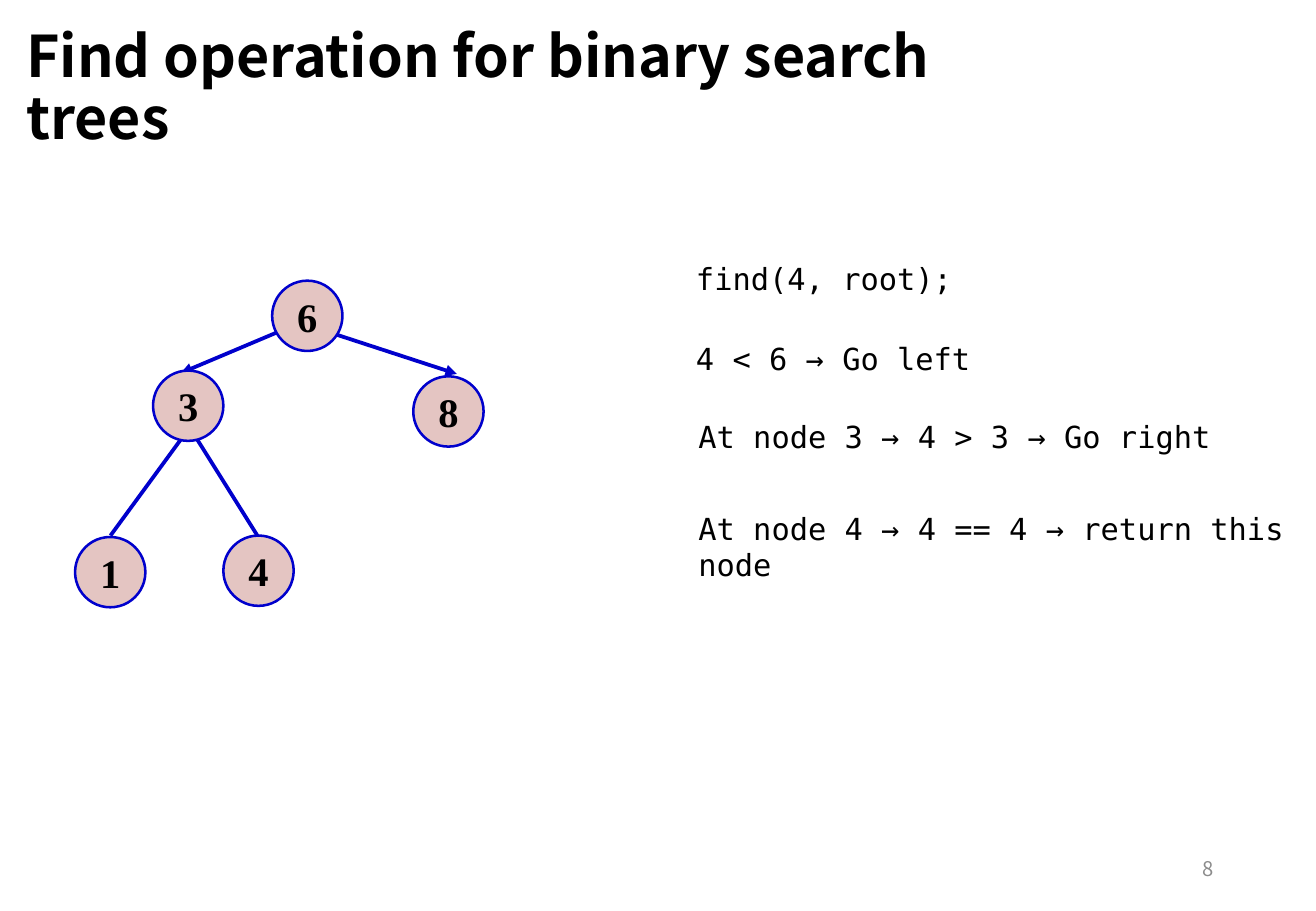
"""Builds a slide that traces a find operation in a binary search tree."""
from lxml import etree
from pptx import Presentation
from pptx.dml.color import RGBColor
from pptx.enum.shapes import MSO_CONNECTOR, MSO_SHAPE
from pptx.enum.text import MSO_ANCHOR, PP_ALIGN
from pptx.oxml.ns import qn
from pptx.util import Cm, Pt

OVAL = MSO_SHAPE.OVAL
STRAIGHT = MSO_CONNECTOR.STRAIGHT
TOP, MIDDLE = MSO_ANCHOR.TOP, MSO_ANCHOR.MIDDLE
LEFT, CENTER, RIGHT = PP_ALIGN.LEFT, PP_ALIGN.CENTER, PP_ALIGN.RIGHT

BLACK = RGBColor(0x00, 0x00, 0x00)
GRAY = RGBColor(0x8C, 0x8C, 0x8C)
BLUE = RGBColor(0x00, 0x00, 0xCC)
PINK = RGBColor(0xE4, 0xC5, 0xC2)

SANS = "Noto Sans CJK SC"
MONO = "DejaVu Sans Mono"
SERIF = "Times New Roman"

NODE_SIZE = 1.47
NODES = [("8", 8.64, 7.87), ("1", 1.57, 11.23), ("4", 4.67, 11.2),
         ("3", 3.2, 7.75), ("6", 5.69, 5.87)]
EDGES = [(5.77, 6.96, 3.78, 7.8, True), (7.01, 6.99, 9.55, 7.82, True),
         (5.38, 11.2, 4.11, 9.17, False), (2.31, 11.2, 3.78, 9.19, False)]
STEPS = [("find(4, root);", 14.3, 5.31, 5.87, 1.02, False),
         ("4 < 6 → Go left", 14.3, 6.99, 6.53, 1.02, False),
         ("At node 3 → 4 > 3 → Go right", 14.35, 8.61, 11.76, 1.02, False),
         ("At node 4 → 4 == 4 → return this node", 14.35, 10.54, 13.77, 1.8, True)]


def write_text(shape, text, font=SANS, size=18, color=BLACK, bold=False,
               align=LEFT, anchor=TOP, wrap=True, spacing=None):
    frame = shape.text_frame
    frame.word_wrap = wrap
    frame.vertical_anchor = anchor
    paragraph = frame.paragraphs[0]
    paragraph.alignment = align
    if spacing:
        paragraph.line_spacing = spacing
    run = paragraph.add_run()
    run.text = text
    run.font.name = font
    run.font.size = Pt(size)
    run.font.bold = bold
    run.font.color.rgb = color


class TreeSlide:
    def __init__(self, presentation):
        self.shapes = presentation.slides.add_slide(presentation.slide_layouts[6]).shapes

    def label(self, text, left, top, width, height, **style):
        box = self.shapes.add_textbox(Cm(left), Cm(top), Cm(width), Cm(height))
        write_text(box, text, **style)

    def node(self, text, left, top):
        shape = self.shapes.add_shape(OVAL, Cm(left), Cm(top), Cm(NODE_SIZE), Cm(NODE_SIZE))
        shape.shadow.inherit = False
        shape.fill.solid()
        shape.fill.fore_color.rgb = PINK
        shape.line.color.rgb = BLUE
        shape.line.width = Pt(1.5)
        write_text(shape, text, font=SERIF, size=24, bold=True,
                   align=CENTER, anchor=MIDDLE, wrap=False)

    def edge(self, x1, y1, x2, y2, arrow):
        connector = self.shapes.add_connector(STRAIGHT, Cm(x1), Cm(y1), Cm(x2), Cm(y2))
        connector.line.color.rgb = BLUE
        connector.line.width = Pt(2.25)
        properties = connector.element.spPr
        if arrow:
            line = properties.find(qn("a:ln"))
            etree.SubElement(line, qn("a:tailEnd"), type="triangle")
        etree.SubElement(properties, qn("a:effectLst"))


def main():
    presentation = Presentation()
    presentation.slide_width = Cm(27.51)
    presentation.slide_height = Cm(19.05)
    slide = TreeSlide(presentation)
    slide.label("Find operation for binary search trees", 0.3, 0.3, 20.12, 3.18,
                size=34, bold=True, anchor=MIDDLE, spacing=0.9)
    for edge in EDGES:
        slide.edge(*edge)
    for node in NODES:
        slide.node(*node)
    for *step, wrap in STEPS:
        slide.label(*step, font=MONO, wrap=wrap)
    slide.label("8", 19.43, 17.65, 6.2, 1.02,
                size=12, color=GRAY, align=RIGHT, anchor=MIDDLE)
    presentation.save("out.pptx")


if __name__ == "__main__":
    main()
